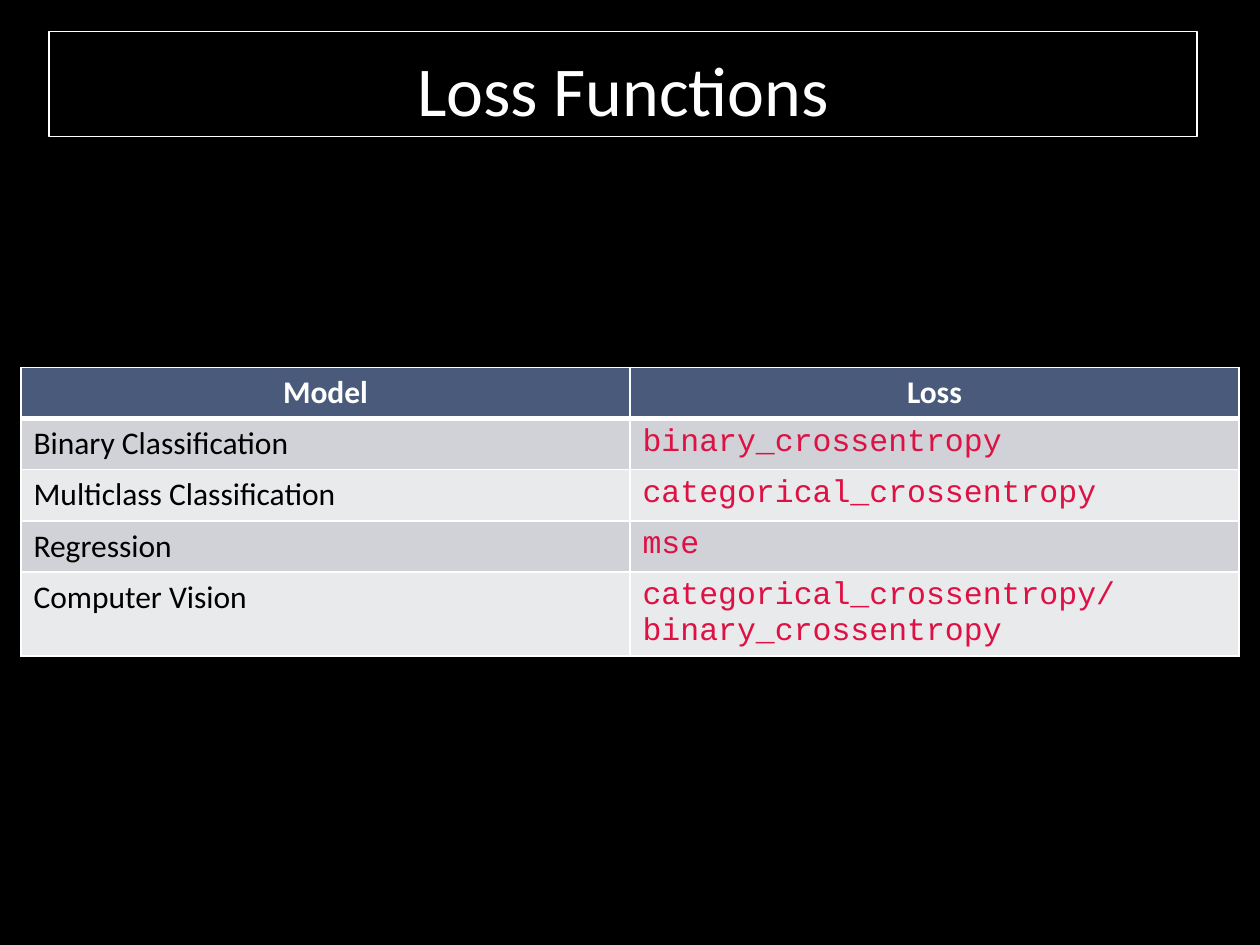
from dataclasses import dataclass

from lxml import etree
from pptx import Presentation
from pptx.dml.color import RGBColor
from pptx.enum import text
from pptx.oxml import ns
from pptx.util import Pt


@dataclass(frozen=True)
class Theme:
    background: str = "000000"
    light: str = "FFFFFF"
    dark: str = "000000"
    code: str = "DD1144"
    header: str = "4A5A7A"
    bands: tuple = ("D0D2D7", "E9EAEC")
    body_font: str = "Calibri"
    code_font: str = "Courier New"
    title_size: int = 40
    table_size: int = 18
    rule: int = 1
    header_rule: int = 3


THEME = Theme()
HEADINGS = ("Model", "Loss")
LOSSES = (
    ("Binary Classification", "binary_crossentropy"),
    ("Multiclass Classification", "categorical_crossentropy"),
    ("Regression", "mse"),
    ("Computer Vision", "categorical_crossentropy/\nbinary_crossentropy"),
)
COLUMN_WIDTH = 348
ROW_HEIGHT = 29.2
TWO_LINE_HEIGHT = 48.2


def rgb(value):
    return RGBColor.from_string(value)


def add_run(paragraph, wording, size, color, font=THEME.body_font, bold=False):
    run = paragraph.add_run()
    run.text = wording
    run.font.name = font
    run.font.size = Pt(size)
    run.font.bold = bold
    run.font.color.rgb = rgb(color)


def add_title(slide, wording):
    title = slide.shapes.title
    title.left, title.top = Pt(28), Pt(18)
    title.width, title.height = Pt(656), Pt(60)
    title.line.color.rgb = rgb(THEME.light)
    title.line.width = Pt(0.75)
    frame = title.text_frame
    frame.auto_size = text.MSO_AUTO_SIZE.NONE
    frame.vertical_anchor = text.MSO_ANCHOR.BOTTOM
    heading = frame.paragraphs[0]
    heading.alignment = text.PP_ALIGN.CENTER
    heading.space_before = Pt(4)
    add_run(heading, wording, THEME.title_size, THEME.light)


def set_borders(cell, top, bottom):
    """Rule all four sides; must run before the cell is filled."""
    properties = cell._tc.get_or_add_tcPr()
    widths = {"L": THEME.rule, "R": THEME.rule, "T": top, "B": bottom}
    for side, width in widths.items():
        line = etree.SubElement(properties, ns.qn(f"a:ln{side}"), w=str(Pt(width)))
        fill = etree.SubElement(line, ns.qn("a:solidFill"))
        etree.SubElement(fill, ns.qn("a:srgbClr"), val=THEME.light)


def fill_cell(cell, wording, fill, centered=False, **style):
    cell.fill.solid()
    cell.fill.fore_color.rgb = rgb(fill)
    frame = cell.text_frame
    for index, line in enumerate(wording.split("\n")):
        paragraph = frame.add_paragraph() if index else frame.paragraphs[0]
        if centered:
            paragraph.alignment = text.PP_ALIGN.CENTER
        add_run(paragraph, line, THEME.table_size, **style)


def add_loss_table(slide):
    heights = [ROW_HEIGHT] * len(LOSSES) + [TWO_LINE_HEIGHT]
    table = slide.shapes.add_table(
        len(heights), len(HEADINGS), Pt(12), Pt(210),
        Pt(COLUMN_WIDTH * len(HEADINGS)), Pt(sum(heights)),
    ).table
    for column in table.columns:
        column.width = Pt(COLUMN_WIDTH)
    for row, height in zip(table.rows, heights):
        row.height = Pt(height)

    for column, heading in enumerate(HEADINGS):
        cell = table.cell(0, column)
        set_borders(cell, THEME.rule, THEME.header_rule)
        fill_cell(cell, heading, THEME.header, centered=True,
                  color=THEME.light, bold=True)

    styles = ({"color": THEME.dark},
              {"color": THEME.code, "font": THEME.code_font})
    for row, entry in enumerate(LOSSES, start=1):
        top = THEME.header_rule if row == 1 else THEME.rule
        band = THEME.bands[(row - 1) % len(THEME.bands)]
        for column, (wording, style) in enumerate(zip(entry, styles)):
            cell = table.cell(row, column)
            set_borders(cell, top, THEME.rule)
            fill_cell(cell, wording, band, **style)


def main():
    deck = Presentation()
    deck.slide_width, deck.slide_height = Pt(720), Pt(540)
    slide = deck.slides.add_slide(deck.slide_layouts.get_by_name("Title Only"))
    slide.background.fill.solid()
    slide.background.fill.fore_color.rgb = rgb(THEME.background)
    add_loss_table(slide)
    add_title(slide, "Loss Functions")
    deck.save("out.pptx")


if __name__ == "__main__":
    main()
